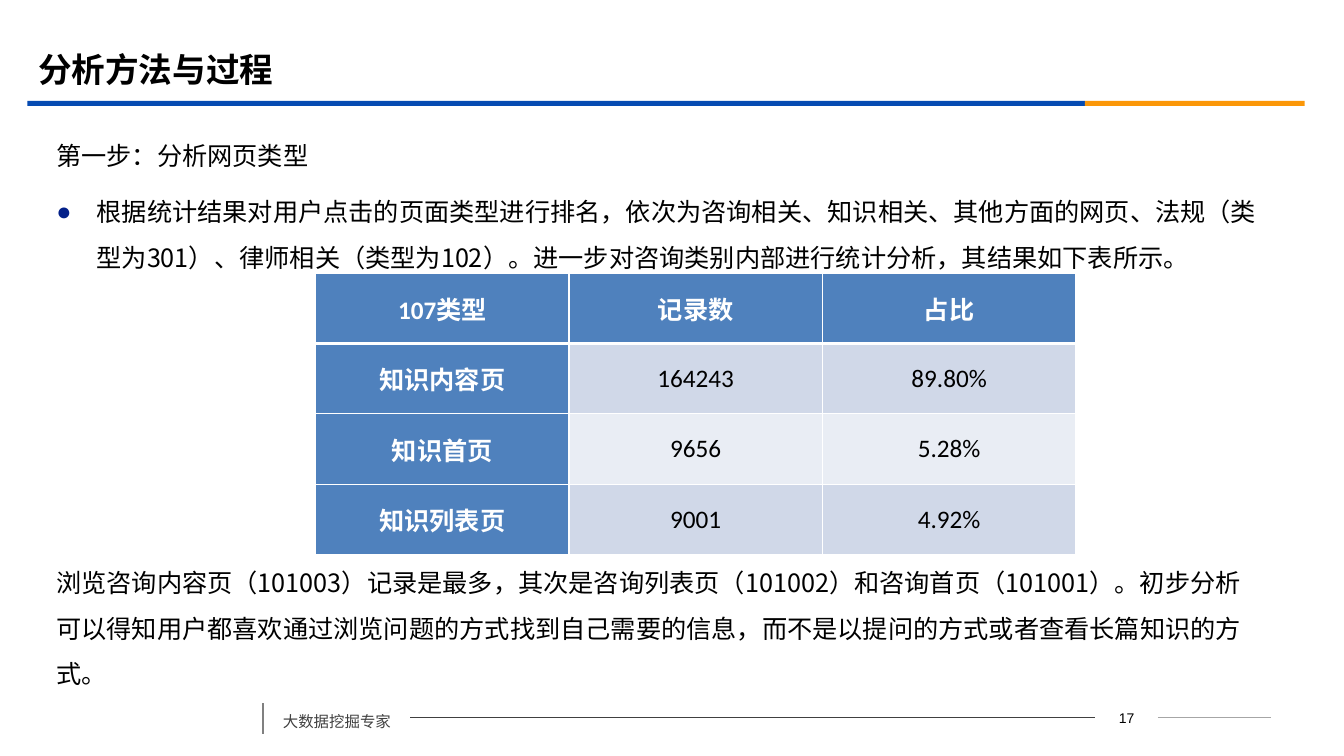
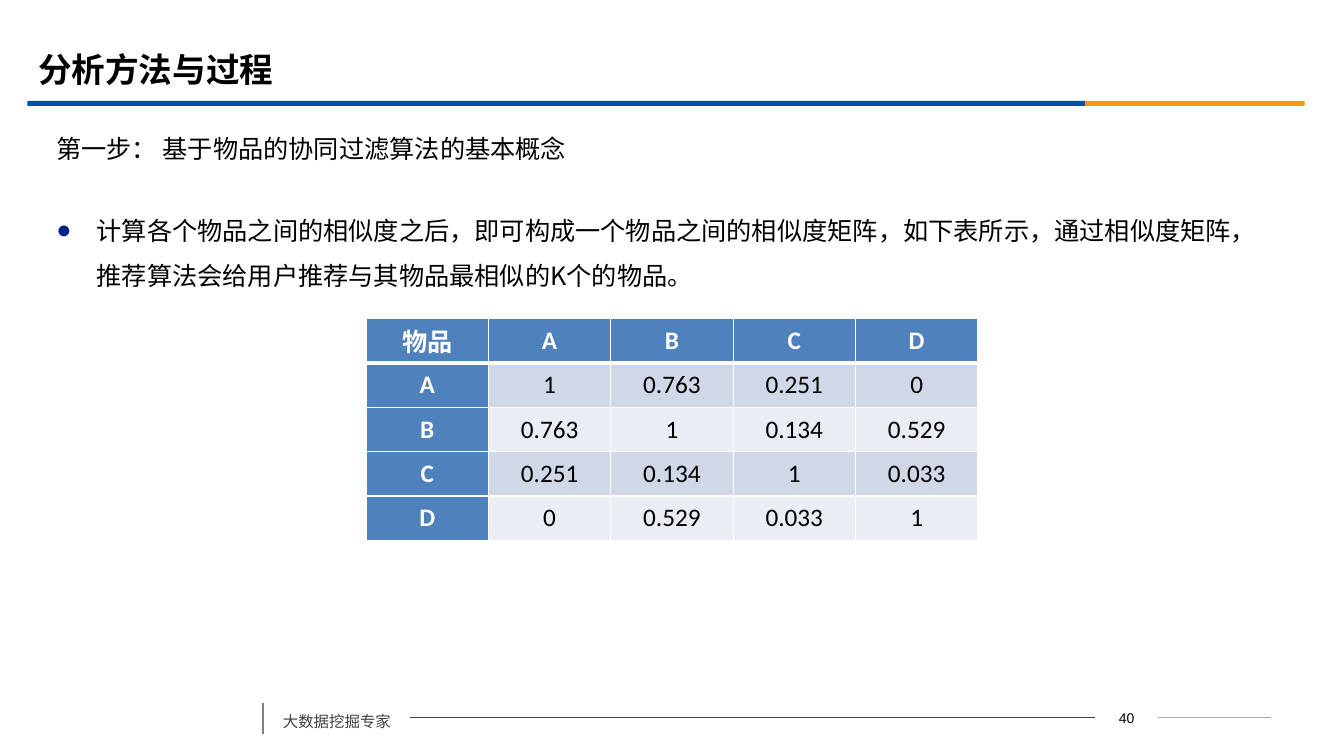
from dataclasses import dataclass

from lxml.etree import SubElement
from pptx import Presentation
from pptx.dml.color import RGBColor
from pptx.enum.shapes import MSO_CONNECTOR as Connector, MSO_SHAPE as Preset
from pptx.enum.text import MSO_ANCHOR as Anchor, MSO_AUTO_SIZE as AutoSize, PP_ALIGN as Align
from pptx.oxml import parse_xml
from pptx.oxml.ns import nsdecls, qn
from pptx.util import Inches, Pt

COLUMNS, ROWS = 96, 54


@dataclass(frozen=True)
class Theme:
    """Colours, fonts and type sizes of the deck."""
    ink: str = "000000"
    paper: str = "FFFFFF"
    blue: str = "064BB2"
    orange: str = "FB9708"
    bullet: str = "032089"
    footer: str = "404040"
    divider: str = "808080"
    hairline: str = "A6A6A6"
    header: str = "4F81BD"
    bands: tuple = ("D0D8E8", "E9EDF4")
    main_font: str = "Noto Sans CJK SC"
    table_font: str = "Calibri"
    number_font: str = "Arial"
    title_size: int = 24
    body_size: int = 18
    footer_size: int = 11
    number_size: int = 10
    leading: float = 32.5


class Deck:
    """Builds pages on a grid of 96 columns by 54 rows."""

    def __init__(self, theme):
        """Start an empty wide deck."""
        self.theme = theme
        self.deck = Presentation()
        self.deck.slide_width, self.deck.slide_height = Inches(13.33), Inches(7.5)
        self.page = None

    def grid(self, left, top, width, height):
        """Turn columns and rows into slide lengths."""
        column = self.deck.slide_width / COLUMNS
        row = self.deck.slide_height / ROWS
        return [round(n * unit) for n, unit in
                zip((left, top, width, height), (column, row, column, row))]

    def style(self, para, size, color, font=None, bold=False, align=Align.LEFT):
        """Set the type of a whole paragraph."""
        para.alignment = align
        para.font.size, para.font.bold = Pt(size), bold
        para.font.color.rgb = RGBColor.from_string(color)
        para.font.name = font or self.theme.main_font
        defaults = para.font._element
        SubElement(defaults, qn("a:ea")).set("typeface", self.theme.main_font)

    def place(self, index, area, anchor):
        """Move a template placeholder and return its text frame."""
        box = self.page.placeholders[index]
        box.left, box.top, box.width, box.height = self.grid(*area)
        frame = box.text_frame
        frame.word_wrap, frame.auto_size = True, AutoSize.NONE
        frame.vertical_anchor = anchor
        return frame

    def marker(self, para, bulleted):
        """Give a paragraph its bullet and hanging indent, or neither."""
        props = para._p.get_or_add_pPr()
        indent = Inches(0.4) if bulleted else 0
        props.set("marL", str(indent))
        props.set("indent", str(-indent))
        if not bulleted:
            SubElement(props, qn("a:buNone"))
            return
        color = SubElement(props, qn("a:buClr"))
        SubElement(color, qn("a:srgbClr")).set("val", self.theme.bullet)
        SubElement(props, qn("a:buFont")).set("typeface", self.theme.number_font)
        SubElement(props, qn("a:buChar")).set("char", "●")

    def body(self, index, area, items, anchor=Anchor.TOP, leading=None):
        """Fill a body placeholder with (text, bulleted) items."""
        frame = self.place(index, area, anchor)
        for number, (text, bulleted) in enumerate(items):
            para = frame.add_paragraph() if number else frame.paragraphs[0]
            para.text = text
            self.marker(para, bulleted)
            para.line_spacing = Pt(leading) if leading else 1.0
            para.space_before = Pt(8 if number else 0)
            self.style(para, self.theme.body_size, self.theme.ink)

    def bar(self, area, color):
        """Draw a plain filled bar."""
        shape = self.page.shapes.add_shape(Preset.RECTANGLE, *self.grid(*area))
        shape.shadow.inherit = False
        shape.fill.solid()
        shape.fill.fore_color.rgb = RGBColor.from_string(color)
        shape.line.fill.background()

    def line(self, ends, color, width=0.75):
        """Draw a straight line between two grid points."""
        line = self.page.shapes.add_connector(Connector.STRAIGHT, *self.grid(*ends))
        line.line.color.rgb = RGBColor.from_string(color)
        line.line.width = Pt(width)
        SubElement(line._element.spPr, qn("a:effectLst"))

    def label(self, area, text, size, color, **style):
        """Add a one-line text box."""
        frame = self.page.shapes.add_textbox(*self.grid(*area)).text_frame
        frame.word_wrap, frame.vertical_anchor = True, Anchor.MIDDLE
        para = frame.paragraphs[0]
        para.text = text
        self.style(para, size, color, **style)

    def start(self, title, number):
        """Open a page with its title, rule and footer."""
        theme = self.theme
        self.page = self.deck.slides.add_slide(self.deck.slide_layouts[3])
        para = self.place(0, (2, 2.8, 86.4, 4.2), Anchor.MIDDLE).paragraphs[0]
        para.text = title
        self.style(para, theme.title_size, theme.ink, bold=True)
        self.bar((1.95, 7.2, 75.55, 0.36), theme.blue)
        self.bar((77.5, 7.2, 15.7, 0.36), theme.orange)
        self.line((18.8, 50.25, 18.8, 52.4), theme.divider, 1.25)
        self.line((29.3, 51.25, 78.25, 51.25), theme.footer)
        self.line((82.7, 51.25, 90.8, 51.25), theme.hairline)
        self.label((19.5, 50.2, 9.8, 2.7), "大数据挖掘专家", theme.footer_size, theme.footer)
        self.label((78.25, 50.35, 4.45, 1.8), str(number), theme.number_size, theme.ink,
                   font=theme.number_font, align=Align.CENTER)

    def borders(self, cell, row):
        """Rule a cell in white, heavier under the header."""
        heavy = {(0, "B"), (1, "T")}
        props = cell._tc.get_or_add_tcPr()
        for place, side in enumerate("LRTB"):
            width = Pt(3 if (row, side) in heavy else 1)
            props.insert(place, parse_xml(
                f'<a:ln{side} {nsdecls("a")} w="{width}"><a:solidFill>'
                f'<a:srgbClr val="{self.theme.paper}"/></a:solidFill></a:ln{side}>'))

    def table(self, left, top, column, row, margin, records):
        """Add a banded table with a header row and header column."""
        theme = self.theme
        rows, columns = len(records), len(records[0])
        area = self.grid(left, top, column * columns, row * rows)
        table = self.page.shapes.add_table(rows, columns, *area).table
        table.first_col = True
        for y, record in enumerate(records):
            for x, text in enumerate(record):
                cell = table.cell(y, x)
                head = x == 0 or y == 0
                fill = theme.header if head else theme.bands[(y - 1) % 2]
                cell.fill.solid()
                cell.fill.fore_color.rgb = RGBColor.from_string(fill)
                self.borders(cell, y)
                cell.vertical_anchor = Anchor.MIDDLE
                cell.margin_left = cell.margin_right = Inches(margin)
                cell.margin_top = cell.margin_bottom = 0
                para = cell.text_frame.paragraphs[0]
                para.text = text
                self.style(para, theme.body_size, theme.paper if head else theme.ink,
                           theme.table_font, head, Align.CENTER)


def page_types(deck):
    """Build the page on web page types."""
    deck.start("分析方法与过程", 17)
    deck.body(1, (3.3, 8.55, 87.5, 11.4), [
        ("第一步：分析网页类型", False),
        ("根据统计结果对用户点击的页面类型进行排名，依次为咨询相关、知识相关、其他方面的网页、"
         "法规（类型为301）、律师相关（类型为102）。进一步对咨询类别内部进行统计分析，"
         "其结果如下表所示。", True),
    ], leading=deck.theme.leading)
    deck.body(2, (3.3, 39.1, 87.5, 10.5), [
        ("浏览咨询内容页（101003）记录是最多，其次是咨询列表页（101002）和咨询首页（101001）。"
         "初步分析可以得知用户都喜欢通过浏览问题的方式找到自己需要的信息，"
         "而不是以提问的方式或者查看长篇知识的方式。", False),
    ], leading=deck.theme.leading)
    deck.table(22.55, 19.5, 18.1, 5.03, 0.08, [
        ("107类型", "记录数", "占比"),
        ("知识内容页", "164243", "89.80%"),
        ("知识首页", "9656", "5.28%"),
        ("知识列表页", "9001", "4.92%"),
    ])


def similarity(deck):
    """Build the page on the similarity matrix."""
    deck.start("分析方法与过程", 40)
    deck.body(1, (3.3, 8.9, 87.5, 3.4),
              [("第一步： 基于物品的协同过滤算法的基本概念", False)], Anchor.MIDDLE)
    deck.body(2, (3.3, 13.9, 87.5, 7.2), [
        ("计算各个物品之间的相似度之后，即可构成一个物品之间的相似度矩阵，如下表所示，"
         "通过相似度矩阵，推荐算法会给用户推荐与其物品最相似的K个的物品。", True),
    ], leading=deck.theme.leading)
    deck.table(26.15, 22.75, 8.74, 3.17, 0.06, [
        ("物品", "A", "B", "C", "D"),
        ("A", "1", "0.763", "0.251", "0"),
        ("B", "0.763", "1", "0.134", "0.529"),
        ("C", "0.251", "0.134", "1", "0.033"),
        ("D", "0", "0.529", "0.033", "1"),
    ])


def main():
    """Build and save the deck."""
    deck = Deck(Theme())
    page_types(deck)
    similarity(deck)
    deck.deck.save("out.pptx")


if __name__ == "__main__":
    main()
